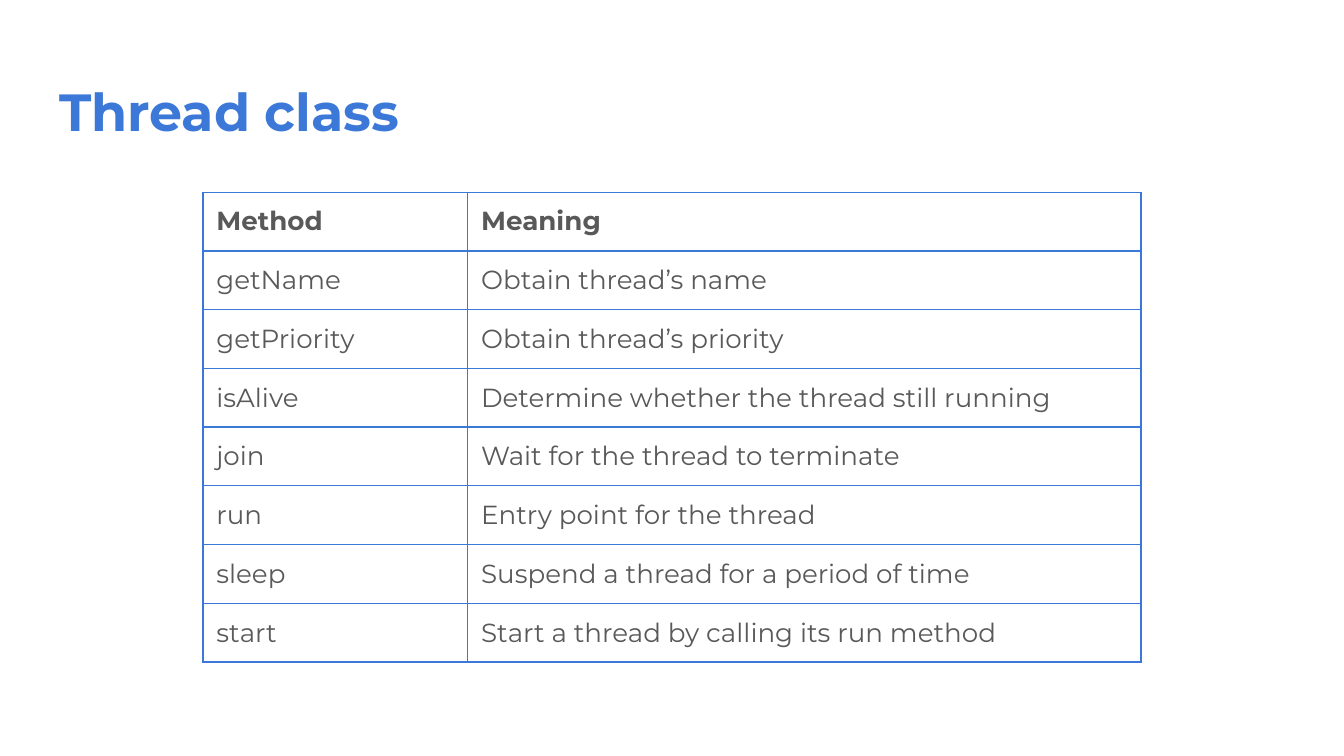
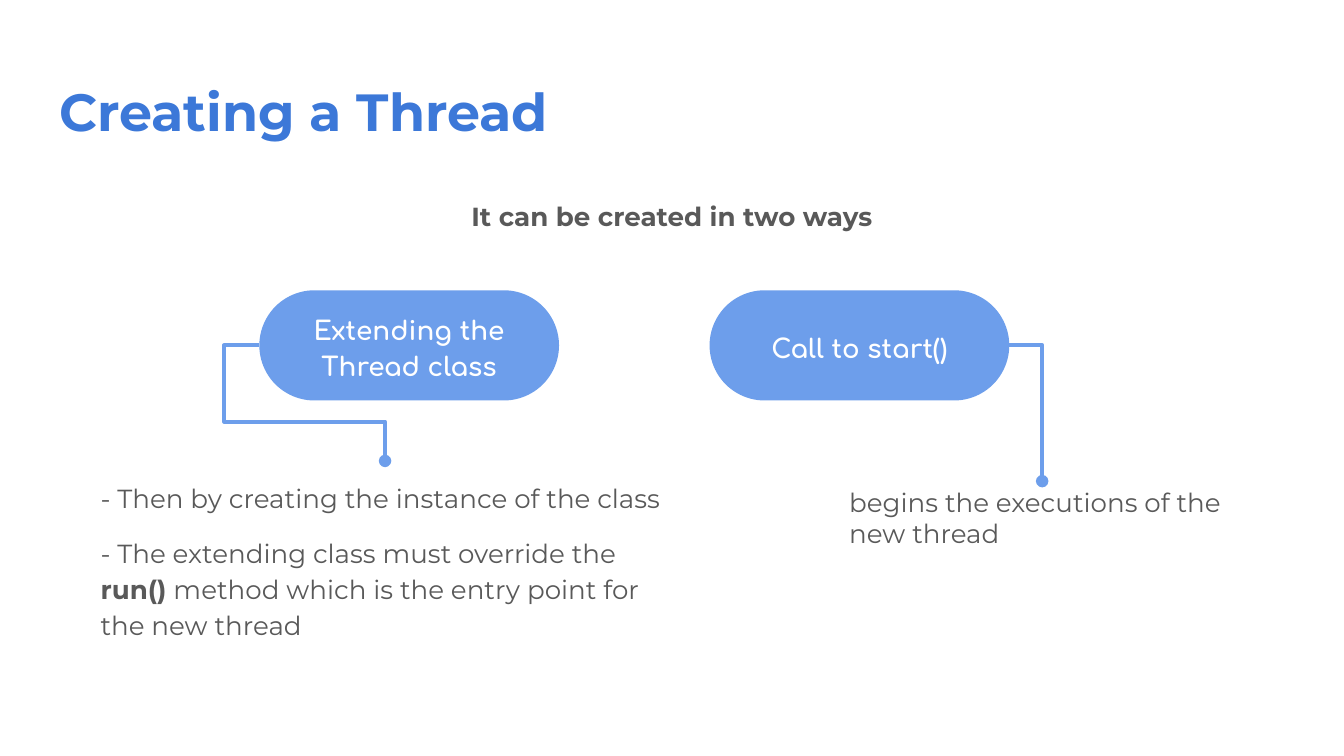
from lxml import etree
from pptx import Presentation
from pptx import util as u
from pptx.dml.color import RGBColor
from pptx.enum import shapes, text
from pptx.oxml import ns

SLIDE_WIDTH = u.Inches(10)
SLIDE_HEIGHT = SLIDE_WIDTH * 9 // 16
BLUE, LIGHT_BLUE, GRAY, WHITE = "3C78D8", "6D9EEB", "595959", "FFFFFF"
TITLE_FONT = {"name": "Montserrat", "size": u.Pt(28), "bold": True}
BODY_FONT = {"name": "Montserrat", "size": u.Pt(14), "bold": False}
BOLD_FONT = {**BODY_FONT, "bold": True}
PILL_FONT = {**BOLD_FONT, "name": "Comfortaa"}
LEFT = {"alignment": text.PP_ALIGN.LEFT, "space_before": u.Pt(0)}
CENTER = {**LEFT, "alignment": text.PP_ALIGN.CENTER, "line_spacing": 1.15}
TOP, MIDDLE = text.MSO_ANCHOR.TOP, text.MSO_ANCHOR.MIDDLE
MARGINS = {f"margin_{side}": u.Inches(0.1) for side in ("left", "top", "right", "bottom")}

METHODS = [
    ("Method", "Meaning"),
    ("getName", "Obtain thread’s name"),
    ("getPriority", "Obtain thread’s priority"),
    ("isAlive", "Determine whether the thread still running"),
    ("join", "Wait for the thread to terminate"),
    ("run", "Entry point for the thread"),
    ("sleep", "Suspend a thread for a period of time"),
    ("start", "Start a thread by calling its run method"),
]


def color(value):
    """Turn a hex string into a colour."""
    return RGBColor.from_string(value)


def apply(target, values):
    """Set every attribute named in a dict of format values."""
    for name, value in values.items():
        setattr(target, name, value)


def place(shape, box):
    """Move a shape to a box of left, top, width and height in inches."""
    apply(shape, dict(zip(("left", "top", "width", "height"), map(u.Inches, box))))


def write(paragraph, runs, style, ink):
    """Fill a paragraph with pairs of wording and font values."""
    apply(paragraph, style)
    for wording, font in runs:
        run = paragraph.add_run()
        run.text = wording
        apply(run.font, font)
        run.font.color.rgb = color(ink)


def set_frame(frame, anchor):
    """Give a text frame wrapping, equal insets and an anchor."""
    apply(frame, {**MARGINS, "word_wrap": True, "vertical_anchor": anchor,
                  "auto_size": text.MSO_AUTO_SIZE.NONE})


def add_titled_slide(presentation, layout, title):
    """Add a slide with the shared title style."""
    slide = presentation.slides.add_slide(presentation.slide_layouts[layout])
    place(slide.shapes.title, (0.34, 0.49, 9.32, 0.63))
    frame = slide.shapes.title.text_frame
    set_frame(frame, TOP)
    write(frame.paragraphs[0], [(title, TITLE_FONT)], LEFT, BLUE)
    return slide


def set_borders(cell):
    """Draw a thin blue line on each side of a cell."""
    properties = cell._tc.get_or_add_tcPr()
    for side in ("lnL", "lnR", "lnT", "lnB"):
        line = etree.SubElement(properties, ns.qn(f"a:{side}"), w=str(u.Pt(0.75)))
        fill = etree.SubElement(line, ns.qn("a:solidFill"))
        etree.SubElement(fill, ns.qn("a:srgbClr"), val=BLUE)


def add_method_table(slide, box):
    """Add the table of thread methods."""
    table = slide.shapes.add_table(len(METHODS), 2, *map(u.Inches, box)).table
    apply(table, {"first_row": False, "horz_banding": False})
    for column, width in zip(table.columns, (1.97, 5.01)):
        column.width = u.Inches(width)
    for row, entries in enumerate(METHODS):
        for column, wording in enumerate(entries):
            cell = table.cell(row, column)
            apply(cell, MARGINS)
            set_borders(cell)
            cell.fill.background()
            font = BODY_FONT if row else BOLD_FONT
            write(cell.text_frame.paragraphs[0], [(wording, font)], LEFT, GRAY)


def add_lead(slide, box, wording):
    """Fill the body placeholder with one centred line without a bullet."""
    body = slide.placeholders[1]
    place(body, box)
    set_frame(body.text_frame, TOP)
    paragraph = body.text_frame.paragraphs[0]
    write(paragraph, [(wording, BOLD_FONT)], {**CENTER, "space_after": u.Pt(10)}, GRAY)
    properties = paragraph._p.get_or_add_pPr()
    for name in ("marL", "indent"):
        properties.set(name, "0")
    etree.SubElement(properties, ns.qn("a:buNone"))


def add_pill(slide, box, wording):
    """Add a fully rounded label."""
    pill = slide.shapes.add_shape(shapes.MSO_SHAPE.ROUNDED_RECTANGLE, *map(u.Inches, box))
    pill.adjustments[0] = 0.5
    pill.shadow.inherit = False
    pill.fill.solid()
    pill.fill.fore_color.rgb = color(LIGHT_BLUE)
    pill.line.fill.background()
    set_frame(pill.text_frame, MIDDLE)
    write(pill.text_frame.paragraphs[0], [(wording, PILL_FONT)], CENTER, WHITE)
    return pill


def add_note(slide, box, paragraphs):
    """Add a text box from pairs of runs and paragraph values."""
    note = slide.shapes.add_textbox(*map(u.Inches, box))
    frame = note.text_frame
    set_frame(frame, MIDDLE)
    for index, (runs, style) in enumerate(paragraphs):
        paragraph = frame.add_paragraph() if index else frame.paragraphs[0]
        write(paragraph, runs, style, GRAY)
    return note


def add_elbow(slide, pill, side, note, preset, bends=()):
    """Join a side of a pill to the top of a note with a dotted elbow line."""
    elbow = slide.shapes.add_connector(shapes.MSO_CONNECTOR.ELBOW, 0, 0, 0, 0)
    elbow.begin_connect(pill, side)
    elbow.end_connect(note, 0)
    elbow.line.color.rgb = color(LIGHT_BLUE)
    elbow.line.width = u.Pt(2.25)
    properties = elbow._element.spPr
    geometry = properties.find(ns.qn("a:prstGeom"))
    geometry.set("prst", preset)
    guides = geometry.find(ns.qn("a:avLst"))
    for number, bend in enumerate(bends, 1):
        etree.SubElement(guides, ns.qn("a:gd"), name=f"adj{number}",
                         fmla=f"val {round(bend * 100000)}")
    etree.SubElement(properties.find(ns.qn("a:ln")), ns.qn("a:tailEnd"), type="oval")
    etree.SubElement(properties, ns.qn("a:effectLst"))


def build_class_slide(presentation):
    """Build the slide on the Thread class."""
    slide = add_titled_slide(presentation, 5, "Thread class")
    add_method_table(slide, (1.51, 1.43, 6.98, 0.42 * len(METHODS)))


def build_creation_slide(presentation):
    """Build the slide on the two ways to create a thread."""
    slide = add_titled_slide(presentation, 1, "Creating a Thread")
    add_lead(slide, (0.34, 1.36, 9.32, 0.54), "It can be created in two ways")
    extending, starting = (
        add_pill(slide, (left, 2.16, 2.23, 0.82), wording)
        for left, wording in ((1.93, "Extending the Thread class"), (5.28, "Call to start()"))
    )
    start_note = add_note(slide, (6.22, 3.58, 3.07, 0.54), [
        ([("begins the executions of the new thread", BODY_FONT)], LEFT),
    ])
    add_elbow(slide, starting, 3, start_note, "bentConnector2")
    spaced = {**LEFT, "line_spacing": 1.15}
    extend_note = add_note(slide, (0.65, 3.43, 4.43, 1.46), [
        ([("- Then by creating the instance of the class", BODY_FONT)], spaced),
        ([("- The extending class must override the ", BODY_FONT),
          ("run()", BOLD_FONT),
          (" method which is the entry point for the new thread", BODY_FONT)],
         {**spaced, "space_before": u.Pt(10), "space_after": u.Pt(10)}),
    ])
    add_elbow(slide, extending, 1, extend_note, "bentConnector4", (-0.28, 0.66))


def main():
    """Build and save the presentation."""
    presentation = Presentation()
    apply(presentation, {"slide_width": SLIDE_WIDTH, "slide_height": SLIDE_HEIGHT})
    build_class_slide(presentation)
    build_creation_slide(presentation)
    presentation.save("out.pptx")


if __name__ == "__main__":
    main()
